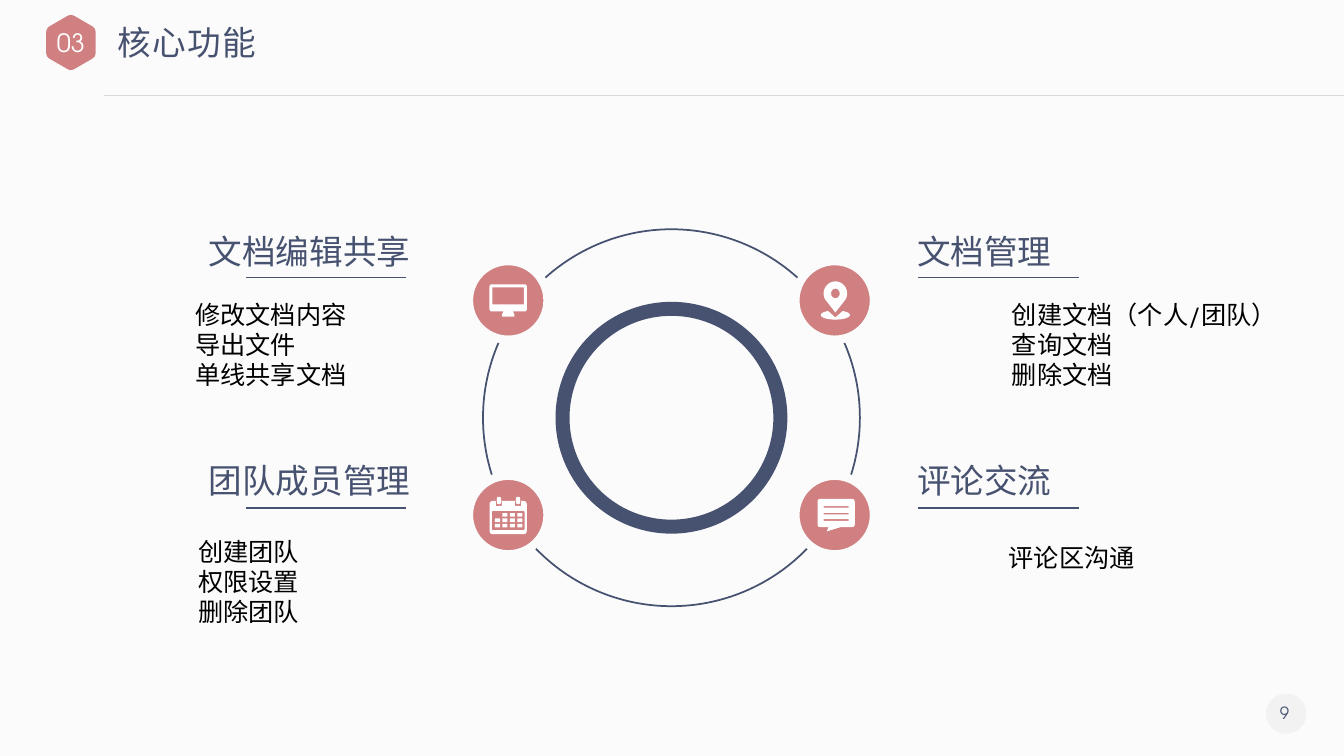
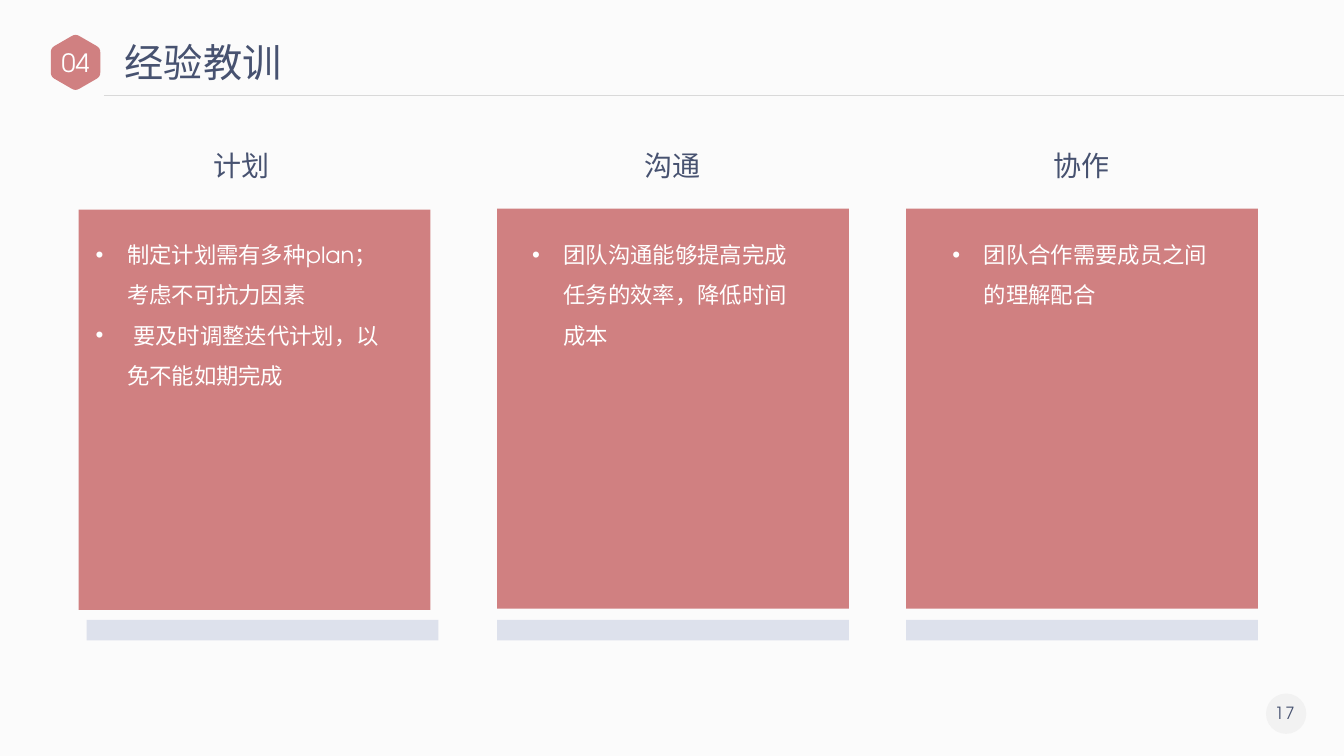
from math import cos, radians, sin

from lxml import etree
from pptx import Presentation
from pptx.dml.color import RGBColor
from pptx.enum import shapes, text
from pptx.oxml import ns
from pptx.util import Pt

NAVY, ROSE, PALE, BACK = "475270", "D08081", "DDE1EC", "FBFBFB"
RULE, BADGE, WHITE, BLACK = "D9D9D9", "F2F2F2", "FFFFFF", "000000"
GEO, HAN = "TeX Gyre Adventor", "Noto Sans CJK SC"
LEFT, MID, RIGHT = text.PP_ALIGN.LEFT, text.PP_ALIGN.CENTER, text.PP_ALIGN.RIGHT
RECT, OVAL = shapes.MSO_SHAPE.RECTANGLE, shapes.MSO_SHAPE.OVAL

HUB = (479.6, 298.4)
TOPICS = [
    {"icon": "screen", "side": -1, "row": 0, "head": "文档编辑共享",
     "at": (132.5, 210.2, 124, 73), "wrap": False,
     "lines": ["修改文档内容", "导出文件", "单线共享文档"]},
    {"icon": "dates", "side": -1, "row": 1, "head": "团队成员管理",
     "at": (134.6, 379.4, 87, 73), "wrap": False,
     "lines": ["创建团队", "权限设置", "删除团队"]},
    {"icon": "pin", "side": 1, "row": 0, "head": "文档管理",
     "at": (715.7, 210.2, 204.5, 73), "wrap": True,
     "lines": ["创建文档（个人/团队）", "查询文档", "删除文档"]},
    {"icon": "talk", "side": 1, "row": 1, "head": "评论交流",
     "at": (713.5, 383.8, 105, 29), "wrap": False,
     "lines": ["评论区沟通"]},
]
ROWS = [{"disc": 214.6, "head": 161.3, "rule": 198},
        {"disc": 367.9, "head": 324.7, "rule": 362.9}]
SIDES = {-1: {"head": 140.4, "wide": 159.8, "rule": 175.7, "align": RIGHT},
         1: {"head": 648, "wide": 111.6, "rule": 655.9, "align": LEFT}}

LESSONS = [
    {"head": "计划", "head_x": 145.4, "card": (56.2, 149.8), "bar": 61.9,
     "body": (61.2, 225.4),
     "lines": ["制定计划需有多种plan；考虑不可抗力因素",
               " 要及时调整迭代计划，以免不能如期完成"]},
    {"head": "沟通", "head_x": 452.9, "card": (355, 149), "bar": 355,
     "body": (373, 198.7),
     "lines": ["团队沟通能够提高完成任务的效率，降低时间成本"]},
    {"head": "协作", "head_x": 745.2, "card": (647.3, 149), "bar": 647.3,
     "body": (673.2, 198.7),
     "lines": ["团队合作需要成员之间的理解配合"]},
]


def color(code):
    return RGBColor.from_string(code)


def paint(shape, fill=None, line=None, width=1):
    shape.shadow.inherit = False
    if fill:
        shape.fill.solid()
        shape.fill.fore_color.rgb = color(fill)
    else:
        shape.fill.background()
    if line:
        shape.line.color.rgb = color(line)
        shape.line.width = Pt(width)
    else:
        shape.line.fill.background()
    return shape


def block(slide, kind, box, fill=None, line=None, width=1):
    shape = slide.shapes.add_shape(kind, *map(Pt, box))
    return paint(shape, fill, line, width)


def disc(slide, x, y, r, **look):
    return block(slide, OVAL, (x - r, y - r, 2 * r, 2 * r), **look)


def rule(slide, x, y, end, tone):
    line = slide.shapes.add_connector(
        shapes.MSO_CONNECTOR.STRAIGHT, Pt(x), Pt(y), Pt(end), Pt(y))
    line.line.color.rgb = color(tone)
    line.line.width = Pt(1)
    etree.SubElement(line._element.spPr, ns.qn("a:effectLst"))


def write(shape, lines, size, tone, font=GEO, align=LEFT, wrap=False,
          middle=False, space=0, bullet=False):
    frame = shape.text_frame
    frame.text = "\n".join(lines)
    frame.word_wrap = wrap
    frame.vertical_anchor = (text.MSO_ANCHOR.MIDDLE if middle
                             else text.MSO_ANCHOR.TOP)
    for para in frame.paragraphs:
        para.alignment = align
        if bullet:
            para.line_spacing = 1.5
            props = para._p.get_or_add_pPr()
            props.set("marL", str(Pt(22.5)))
            props.set("indent", str(-Pt(22.5)))
            mark = etree.SubElement(props, ns.qn("a:buFont"))
            mark.set("typeface", "Arial")
            etree.SubElement(props, ns.qn("a:buChar")).set("char", "•")
        for run in para.runs:
            run.font.size = Pt(size)
            run.font.name = font
            run.font.color.rgb = color(tone)
            props = run._r.get_or_add_rPr()
            etree.SubElement(props, ns.qn("a:ea")).set("typeface", font)
            if space:
                props.set("spc", str(space * 100))


def label(slide, box, lines, size, tone, **style):
    write(slide.shapes.add_textbox(*map(Pt, box)), lines, size, tone, **style)


def soft(points, cut):
    out = []
    ring = [complex(*p) for p in points]
    for i, tip in enumerate(ring):
        prev, after = ring[i - 1], ring[(i + 1) % len(ring)]
        a = tip + (prev - tip) * cut / abs(prev - tip)
        b = tip + (after - tip) * cut / abs(after - tip)
        for t in (0, 0.25, 0.5, 0.75, 1):
            p = (1 - t) ** 2 * a + 2 * t * (1 - t) * tip + t * t * b
            out.append((p.real, p.imag))
    return out


def arc(x, y, rx, ry, start=0, end=360):
    turns = [radians(start + (end - start) * i / 36) for i in range(37)]
    return [(x + rx * cos(t), y + ry * sin(t)) for t in turns]


def rect(x, y, w, h, cut=0):
    points = [(x, y), (x + w, y), (x + w, y + h), (x, y + h)]
    return soft(points, cut) if cut else points


def draw(slide, x, y, parts, fill):
    rings = [[(Pt(x + a), Pt(y + b)) for a, b in part] for part in parts]
    pen = slide.shapes.build_freeform(*rings[0][0])
    for i, ring in enumerate(rings):
        if i:
            pen.move_to(*ring[0])
        pen.add_line_segments(ring[1:], close=True)
    return paint(pen.convert_to_shape(), fill)


HEX = soft([(20.4 * sin(radians(a)), -20.4 * cos(radians(a)))
            for a in range(0, 360, 60)], 3)
CELLS = [rect(-9.4 + 5.3 * col, -1.4 + 3.9 * row, 3.6, 2.5)
         for row in range(3) for col in range(4) if row or col]
ICONS = {
    "screen": [rect(-13.4, -11.5, 26.8, 19.4, 2),
               rect(-11.2, -9.4, 22.4, 12.3),
               [(-3.4, 7.9), (3.4, 7.9), (4.5, 10.2), (4.5, 11.5),
                (-4.5, 11.5), (-4.5, 10.2)]],
    "pin": [arc(0.5, -5, 8.4, 8.6, 150, 390) + [(0.5, 8.6)],
            arc(0.5, -5, 3.1, 3.4),
            arc(0.5, 10.4, 10.4, 3.3, -60, 240) + [(0.5, 12.2)]],
    "talk": [rect(-12.2, -11.5, 26.6, 20.1, 2),
             [(-4.3, 8.6), (4.5, 8.6), (-5.6, 11.7)]]
            + [rect(-7.9, y, 18, 1.2) for y in (-6.4, -1.6, 3)],
    "dates": [rect(-13.3, -10, 26.6, 23.7, 2.5),
              rect(-11.7, -2.9, 23.4, 13.7, 1)] + CELLS
             + [part for x in (-6.6, 7.1) for part in
                (rect(x - 2.2, -10, 4.4, 3.5),
                 rect(x - 1.5, -13, 3, 5.2, 1.3))],
}


def base(deck, page, number, hexagon):
    slide = deck.slides.add_slide(deck.slide_layouts[6])
    disc(slide, 918.7, 509.8, 14.4, fill=BADGE)
    label(slide, (897.8, 498.2, 39.6, 21.6), [page], 12, NAVY,
          align=MID, middle=True, wrap=True, space=1)
    rule(slide, 74.2, 68.4, 960, RULE)
    badge = draw(slide, *hexagon, [HEX], ROSE)
    frame = badge.text_frame
    frame.margin_left = frame.margin_right = 0
    frame.margin_top = frame.margin_bottom = 0
    write(badge, [number], 18, WHITE, align=MID, middle=True)
    return slide


def features(deck):
    slide = base(deck, "9", "03", (50.7, 30.4))
    label(slide, (77, 12.2, 115.2, 36), ["核心功能"], 24, NAVY, space=1)
    disc(slide, *HUB, 77.8, line=NAVY, width=10)
    disc(slide, *HUB, 134.6, line=NAVY, width=1.25)
    for topic in TOPICS:
        row, side = ROWS[topic["row"]], SIDES[topic["side"]]
        x, y = HUB[0] + 116.6 * topic["side"], row["disc"]
        disc(slide, x, y, 28.1, fill=ROSE, line=BACK, width=6)
        draw(slide, x, y, ICONS[topic["icon"]], WHITE)
        rule(slide, side["rule"], row["rule"], side["rule"] + 114.5, NAVY)
        label(slide, (side["head"], row["head"], side["wide"], 36),
              [topic["head"]], 24, NAVY, font=HAN, align=side["align"])
        label(slide, topic["at"], topic["lines"], 18, BLACK,
              wrap=topic["wrap"])


def lessons(deck):
    slide = base(deck, "17", "04", (54, 44.6))
    label(slide, (82.1, 23.8, 127.4, 41), ["经验教训"], 28, NAVY,
          font=HAN, middle=True)
    for item in LESSONS:
        block(slide, RECT, (*item["card"], 251.3, 285.8), ROSE)
        block(slide, RECT, (item["bar"], 442.8, 251.3, 14.6), PALE)
        label(slide, (item["head_x"], 102.2, 54.7, 31.7), [item["head"]],
              20, NAVY, font=HAN, align=MID)
        x, wide = item["body"]
        label(slide, (x, 159.1, wide, 120), item["lines"], 16, WHITE,
              wrap=True, bullet=True)


def main():
    deck = Presentation()
    deck.slide_width, deck.slide_height = Pt(960), Pt(540)
    back = deck.slide_master.background.fill
    back.solid()
    back.fore_color.rgb = color(BACK)
    features(deck)
    lessons(deck)
    deck.save("out.pptx")


if __name__ == "__main__":
    main()
